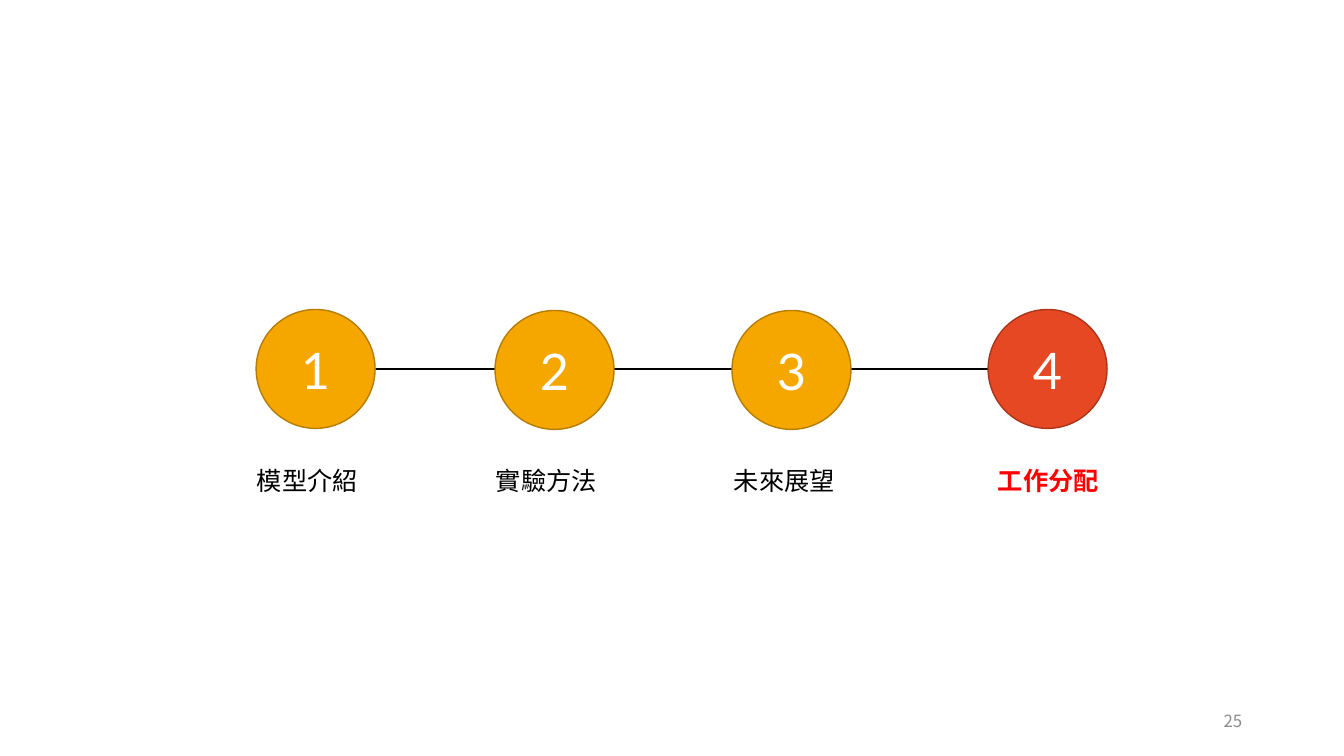
from dataclasses import dataclass

from lxml import etree
from pptx import Presentation
from pptx.dml.color import RGBColor
from pptx.enum import shapes, text
from pptx.oxml import ns
from pptx.util import Inches, Pt

BLACK = RGBColor(0x00, 0x00, 0x00)
WHITE = RGBColor(0xFF, 0xFF, 0xFF)
GREY = RGBColor(0x8C, 0x8C, 0x8C)
AMBER = RGBColor(0xF5, 0xA7, 0x00)
DARK_AMBER = RGBColor(0xB5, 0x7C, 0x00)
ORANGE = RGBColor(0xE6, 0x48, 0x23)
DARK_ORANGE = RGBColor(0xAA, 0x35, 0x1A)
RED = RGBColor(0xFF, 0x00, 0x00)

LATIN_FONT = "Lato"
CJK_FONT = "Noto Sans CJK TC"
DIAMETER = 1.18
LABEL_TOP = 4.57
LABEL_HEIGHT = 0.4
TRACK_Y = 3.66


@dataclass(frozen=True)
class Step:
    label: str
    left: float
    top: float
    label_left: float
    label_width: float
    current: bool = False


STEPS = [
    Step("模型介紹", 2.54, 3.07, 2.45, 1.36),
    Step("實驗方法", 4.91, 3.08, 4.82, 1.27),
    Step("未來展望", 7.26, 3.08, 7.18, 1.46),
    Step("工作分配", 9.8, 3.07, 9.8, 1.46, current=True),
]


def write(frame, content: str, *, size: float, color: RGBColor,
          font: str = LATIN_FONT, bold: bool = False,
          align=text.PP_ALIGN.LEFT, anchor=text.MSO_ANCHOR.TOP) -> None:
    """Fill a text frame with one formatted line."""
    frame.word_wrap = True
    frame.vertical_anchor = anchor
    paragraph = frame.paragraphs[0]
    paragraph.alignment = align
    run = paragraph.add_run()
    run.text = content
    run.font.size = Pt(size)
    run.font.bold = bold
    run.font.color.rgb = color
    run.font.name = font
    east_asian = etree.SubElement(run.font._element, ns.qn("a:ea"))
    east_asian.set("typeface", CJK_FONT)


def draw_track(slide, start: float, end: float) -> None:
    track = slide.shapes.add_connector(
        shapes.MSO_CONNECTOR.STRAIGHT,
        Inches(start), Inches(TRACK_Y), Inches(end), Inches(TRACK_Y))
    track.line.color.rgb = BLACK
    track.line.width = Pt(1.5)
    etree.SubElement(track._element.spPr, ns.qn("a:effectLst"))


def draw_step(slide, number: int, step: Step) -> None:
    circle = slide.shapes.add_shape(
        shapes.MSO_SHAPE.OVAL, Inches(step.left), Inches(step.top),
        Inches(DIAMETER), Inches(DIAMETER))
    circle.shadow.inherit = False
    circle.fill.solid()
    circle.fill.fore_color.rgb = ORANGE if step.current else AMBER
    circle.line.color.rgb = DARK_ORANGE if step.current else DARK_AMBER
    circle.line.width = Pt(1)
    write(circle.text_frame, str(number), size=36, color=WHITE,
          align=text.PP_ALIGN.CENTER, anchor=text.MSO_ANCHOR.MIDDLE)

    label = slide.shapes.add_textbox(
        Inches(step.label_left), Inches(LABEL_TOP),
        Inches(step.label_width), Inches(LABEL_HEIGHT))
    label.text_frame.auto_size = text.MSO_AUTO_SIZE.SHAPE_TO_FIT_TEXT
    write(label.text_frame, step.label, size=18,
          color=RED if step.current else BLACK, bold=step.current)


def main() -> None:
    deck = Presentation()
    deck.slide_width, deck.slide_height = Inches(13.33), Inches(7.5)
    slide = deck.slides.add_slide(deck.slide_layouts[6])

    # Page number
    page_number = slide.shapes.add_textbox(
        Inches(9.42), Inches(6.95), Inches(3), Inches(0.4))
    write(page_number.text_frame, "25", size=12, color=GREY, font=CJK_FONT,
          align=text.PP_ALIGN.RIGHT, anchor=text.MSO_ANCHOR.MIDDLE)

    # Agenda: the track runs behind the numbered steps
    draw_track(slide, STEPS[0].left + DIAMETER, STEPS[-1].left)
    for number, step in enumerate(STEPS, start=1):
        draw_step(slide, number, step)

    deck.save("out.pptx")


if __name__ == "__main__":
    main()
